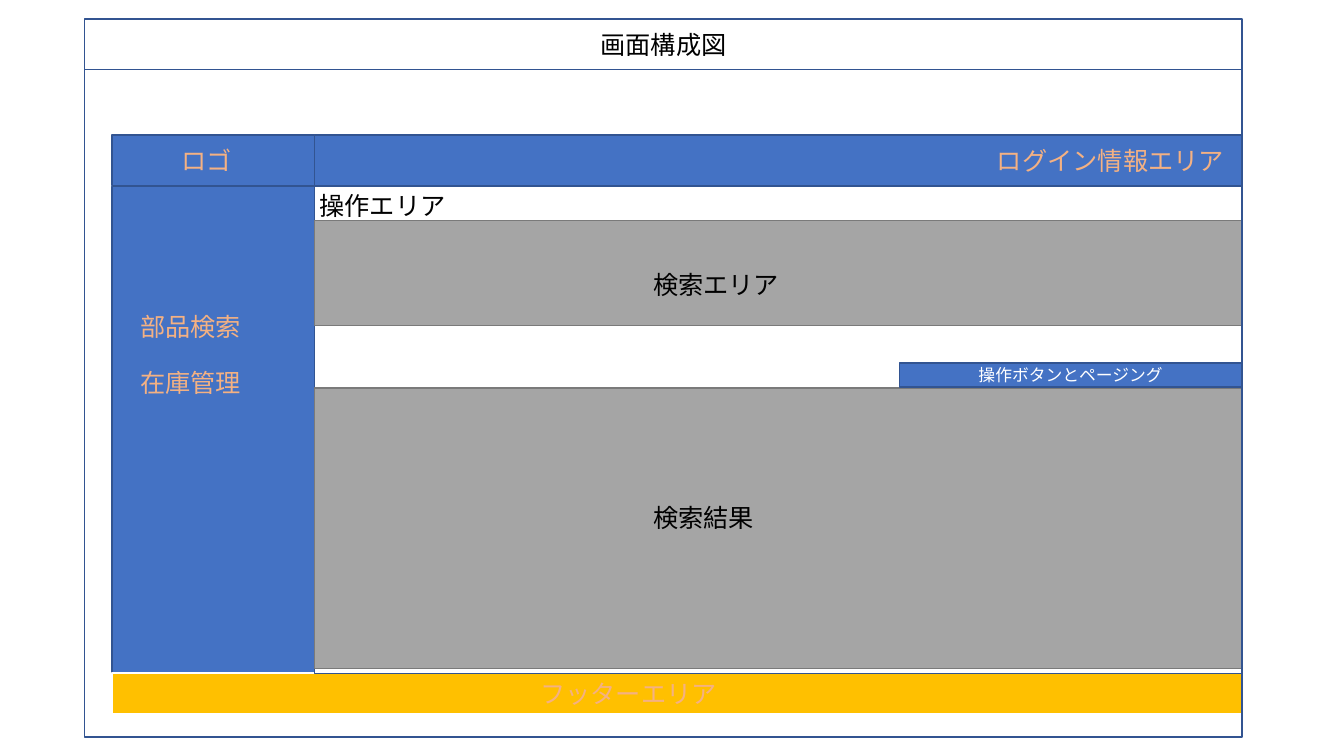
from lxml import etree
from pptx import Presentation
from pptx.dml.color import RGBColor
from pptx.enum.shapes import MSO_SHAPE
from pptx.enum.text import MSO_ANCHOR, MSO_AUTO_SIZE, PP_ALIGN
from pptx.oxml.ns import qn
from pptx.util import Pt

RECTANGLE = MSO_SHAPE.RECTANGLE
MIDDLE = MSO_ANCHOR.MIDDLE
CENTER = PP_ALIGN.CENTER
GROW = MSO_AUTO_SIZE.SHAPE_TO_FIT_TEXT

BLACK = RGBColor(0x00, 0x00, 0x00)
WHITE = RGBColor(0xFF, 0xFF, 0xFF)
BLUE = RGBColor(0x44, 0x72, 0xC4)
NAVY = RGBColor(0x32, 0x54, 0x91)
GOLD = RGBColor(0xFF, 0xC0, 0x00)
PEACH = RGBColor(0xF4, 0xB1, 0x83)
GRAY = RGBColor(0xA5, 0xA5, 0xA5)
DARK_GRAY = RGBColor(0x7A, 0x7A, 0x7A)

EMU_PER_PX = 9144
FONT = "Noto Sans CJK JP"

FRAME_LEFT, FRAME_WIDTH = 84, 1148
MENU_LEFT, MENU_WIDTH = 111, 201
MAIN_LEFT, MAIN_WIDTH = 312, 920
TITLE_TOP, HEADER_TOP, BAR_HEIGHT = 19, 134, 50
BODY_TOP, BODY_HEIGHT = 185, 483
FOOTER_TOP = BODY_TOP + BODY_HEIGHT
LABEL_HEIGHT = 40


class ScreenLayout:
    """Draws boxes and labels on one slide in a shared style, measured in px."""

    def __init__(self, presentation):
        self.slide = presentation.slides.add_slide(presentation.slide_layouts[6])

    def place(self, *lengths):
        return [length * EMU_PER_PX for length in lengths]

    def set_text(self, text_frame, text, color, size):
        text_frame.text = text
        for run in text_frame.paragraphs[0].runs:
            run.font.name = FONT
            run.font.size = Pt(size)
            run.font.color.rgb = color
            east_asian = etree.SubElement(run.font._element, qn("a:ea"))
            east_asian.set("typeface", FONT)

    def box(self, left, top, width, height, fill=None, line=NAVY, line_width=1):
        shape = self.slide.shapes.add_shape(RECTANGLE, *self.place(left, top, width, height))
        shape.shadow.inherit = False
        if fill is None:
            shape.fill.background()
        else:
            shape.fill.solid()
            shape.fill.fore_color.rgb = fill
        shape.line.color.rgb = line
        shape.line.width = Pt(line_width)
        return shape

    def caption(self, shape, text, color, size=18):
        text_frame = shape.text_frame
        text_frame.vertical_anchor = MIDDLE
        self.set_text(text_frame, text, color, size)
        text_frame.paragraphs[0].alignment = CENTER

    def label(self, left, top, width, text, color, wrap=True):
        shape = self.slide.shapes.add_textbox(*self.place(left, top, width, LABEL_HEIGHT))
        shape.text_frame.word_wrap = wrap
        shape.text_frame.auto_size = GROW
        self.set_text(shape.text_frame, text, color, 18)


def main():
    presentation = Presentation()
    presentation.slide_width = 1333 * EMU_PER_PX
    presentation.slide_height = 750 * EMU_PER_PX
    layout = ScreenLayout(presentation)

    layout.box(MAIN_LEFT, HEADER_TOP, MAIN_WIDTH, BAR_HEIGHT, BLUE)
    title = layout.box(FRAME_LEFT, TITLE_TOP, FRAME_WIDTH, BAR_HEIGHT)
    layout.caption(title, "画面構成図", BLACK)
    layout.box(MENU_LEFT, HEADER_TOP, MENU_WIDTH, BAR_HEIGHT, BLUE)
    layout.box(MENU_LEFT, BODY_TOP, MENU_WIDTH, BODY_HEIGHT, BLUE)
    layout.box(MENU_LEFT, FOOTER_TOP, MENU_WIDTH + MAIN_WIDTH, 40, GOLD, WHITE, 1.5)
    layout.box(MAIN_LEFT, BODY_TOP, MAIN_WIDTH, BODY_HEIGHT)

    layout.label(170, 139, 71, "ロゴ", PEACH, wrap=False)
    layout.label(979, 139, 247, "ログイン情報エリア", PEACH, wrap=False)
    layout.label(307, 184, 224, "操作エリア", BLACK)
    layout.label(526, FOOTER_TOP, 224, "フッターエリア", PEACH)

    for top, height in ((219, 104), (385, 278)):
        layout.box(MAIN_LEFT, top, MAIN_WIDTH, height, GRAY, DARK_GRAY)
    paging = layout.box(892, 360, 340, 24, BLUE)
    layout.caption(paging, "操作ボタンとページング", WHITE, 12)

    for top, text in ((262, "検索エリア"), (493, "検索結果")):
        layout.label(638, top, 224, text, BLACK)
    layout.box(FRAME_LEFT, TITLE_TOP + BAR_HEIGHT, FRAME_WIDTH, 662)
    for top, text in ((304, "部品検索"), (359, "在庫管理")):
        layout.label(129, top, 135, text, PEACH)

    presentation.save("out.pptx")


if __name__ == "__main__":
    main()
